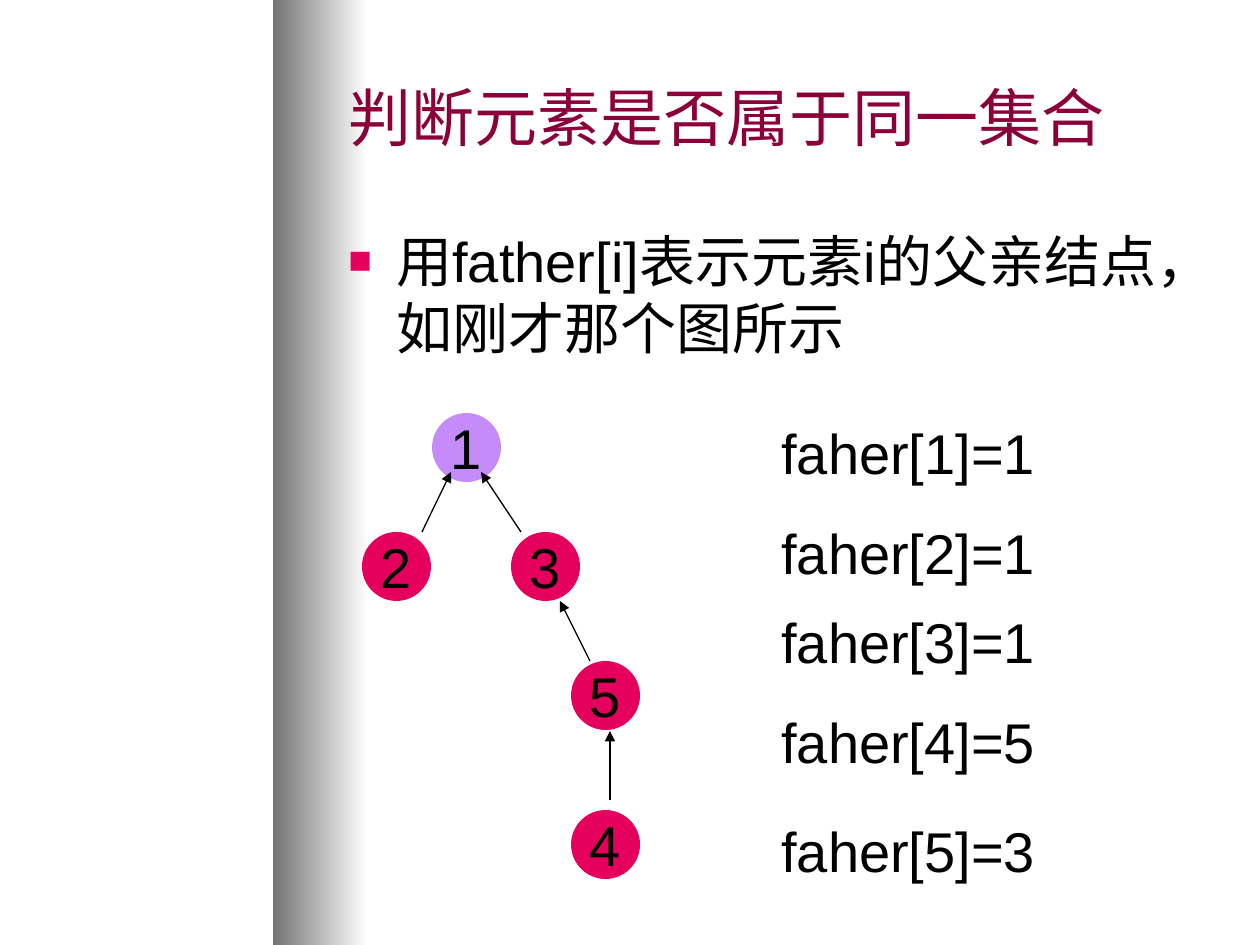
from lxml import etree
from pptx import Presentation, util as u
from pptx.dml.color import RGBColor
from pptx.enum import shapes, text
from pptx.oxml import ns

PX = 914400 / 126
FONT = "Arial"
BLACK, WINE, PINK, LILAC = "000000", "8C0039", "E4005C", "C58BF9"
NODE = 69      # circle diameter
INDENT = 48    # hanging indent of the bullet


def px(n):
    return u.Emu(round(n * PX))


def box(*lengths):
    return [px(n) for n in lengths]


def color(value):
    return RGBColor.from_string(value)


def sub(parent, tag, **attrs):
    return etree.SubElement(parent, ns.qn(tag), attrs)


def write(tf, words, size=32, fill=BLACK, wrap=True):
    tf.word_wrap = wrap
    p = tf.paragraphs[0]
    p.text = words
    for r in p.runs:
        r.font.size = u.Pt(size)
        r.font.name = FONT
        r.font.color.rgb = color(fill)
    return p


def add_band(s):
    sp = s.shapes.add_shape(shapes.MSO_SHAPE.RECTANGLE, *box(273, 0, 95, 945))
    sp.shadow.inherit = False
    sp.line.fill.background()
    sp.fill.gradient()
    sp.fill.gradient_angle = 0
    for stop, value in zip(sp.fill.gradient_stops, ("747474", "FFFFFF")):
        stop.color.rgb = color(value)
    # Send to back, behind the title placeholder
    s.shapes.title._element.addprevious(sp._element)


def add_title(s, words):
    sp = s.shapes.title
    sp.left, sp.top, sp.width, sp.height = box(336, 32, 882, 168)
    sp.text_frame.vertical_anchor = text.MSO_ANCHOR.MIDDLE
    write(sp.text_frame, words, 36, WINE).alignment = text.PP_ALIGN.LEFT


def add_bullet(s, words):
    sp = s.shapes.add_textbox(*box(336, 220, 882, 620))
    p = write(sp.text_frame, words)
    pPr = p._p.get_or_add_pPr()
    pPr.set("marL", str(px(INDENT)))
    pPr.set("indent", str(px(-INDENT)))
    sub(sub(pPr, "a:buClr"), "a:srgbClr", val=PINK)
    sub(pPr, "a:buSzPct", val="70000")
    sub(pPr, "a:buFont", typeface=FONT)
    sub(pPr, "a:buChar", char="■")


def add_node(s, label, x, y, fill):
    sp = s.shapes.add_shape(shapes.MSO_SHAPE.OVAL, *box(x, y, NODE, NODE))
    sp.shadow.inherit = False
    sp.fill.solid()
    sp.fill.fore_color.rgb = color(fill)
    sp.line.fill.background()
    sp.text_frame.vertical_anchor = text.MSO_ANCHOR.MIDDLE
    write(sp.text_frame, label, wrap=False).alignment = text.PP_ALIGN.CENTER


def add_arrow(s, *ends):
    c = s.shapes.add_connector(shapes.MSO_CONNECTOR.STRAIGHT, *box(*ends))
    c.line.color.rgb = color(BLACK)
    c.line.width = u.Pt(0.75)
    spPr = c._element.spPr
    sub(spPr.get_or_add_ln(), "a:tailEnd", type="triangle")
    sub(spPr, "a:effectLst")


def add_relation(s, child, parent, y):
    sp = s.shapes.add_textbox(*box(769, y, 328, 81))
    write(sp.text_frame, f"faher[{child}]={parent}")


def main():
    prs = Presentation()
    prs.slide_width, prs.slide_height = box(1260, 945)
    s = prs.slides.add_slide(prs.slide_layouts[5])

    # Frame and text
    add_band(s)
    add_title(s, "判断元素是否属于同一集合")
    add_bullet(s, "用father[i]表示元素i的父亲结点，如刚才那个图所示")

    # Tree: the root is lilac
    nodes = {"1": (432, 413), "2": (362, 532), "3": (511, 532),
             "5": (571, 661), "4": (571, 810)}
    for label, (x, y) in nodes.items():
        add_node(s, label, x, y, LILAC if label == "1" else PINK)

    # Arrows from child to parent
    for ends in ((422, 532, 451, 472), (521, 532, 481, 472),
                 (590, 661, 560, 601), (610, 800, 610, 731)):
        add_arrow(s, *ends)

    # Father of each element
    for child, parent, y in ((1, 1, 412), (2, 1, 512), (3, 1, 601),
                             (4, 5, 701), (5, 3, 810)):
        add_relation(s, child, parent, y)

    prs.save("out.pptx")


if __name__ == "__main__":
    main()
